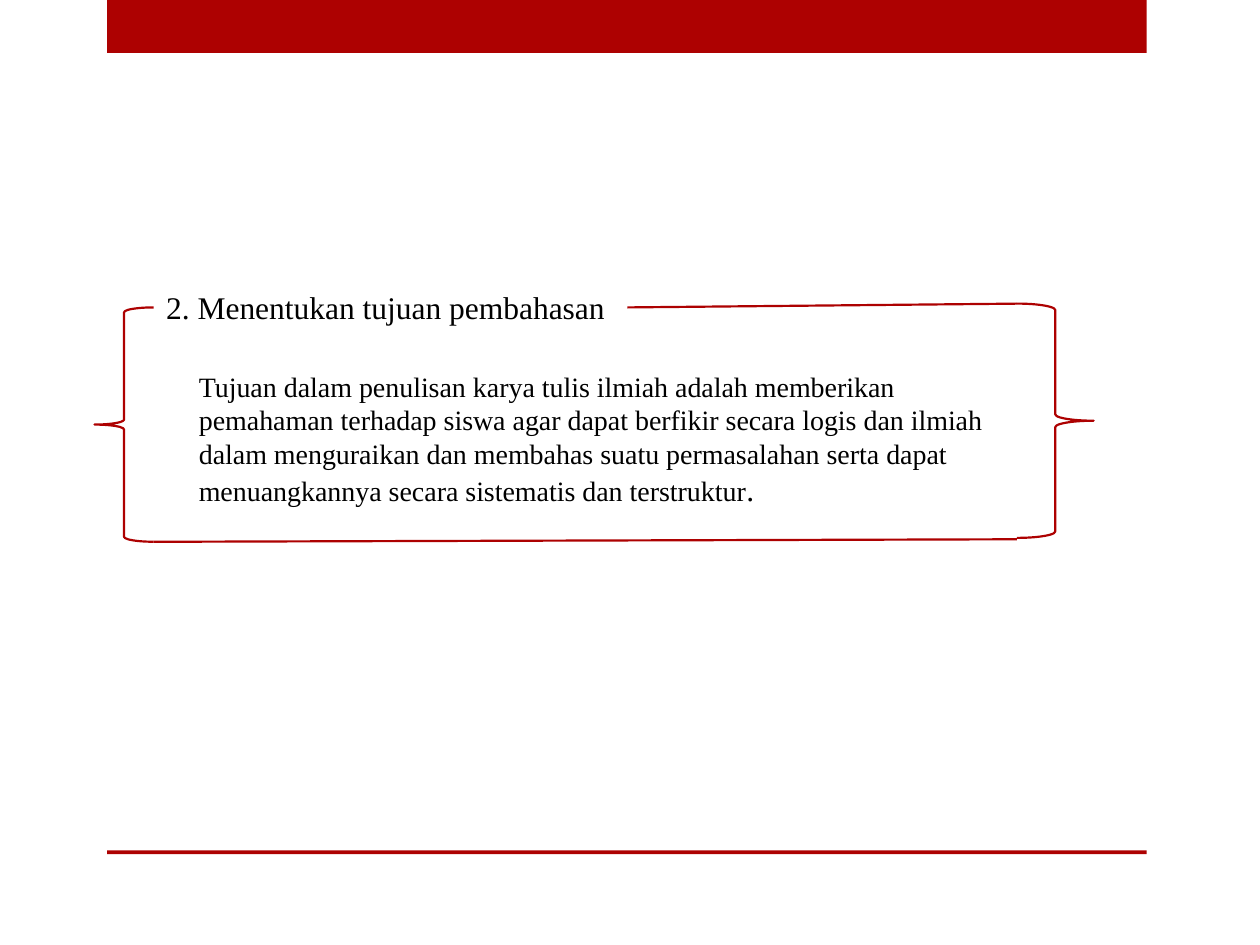
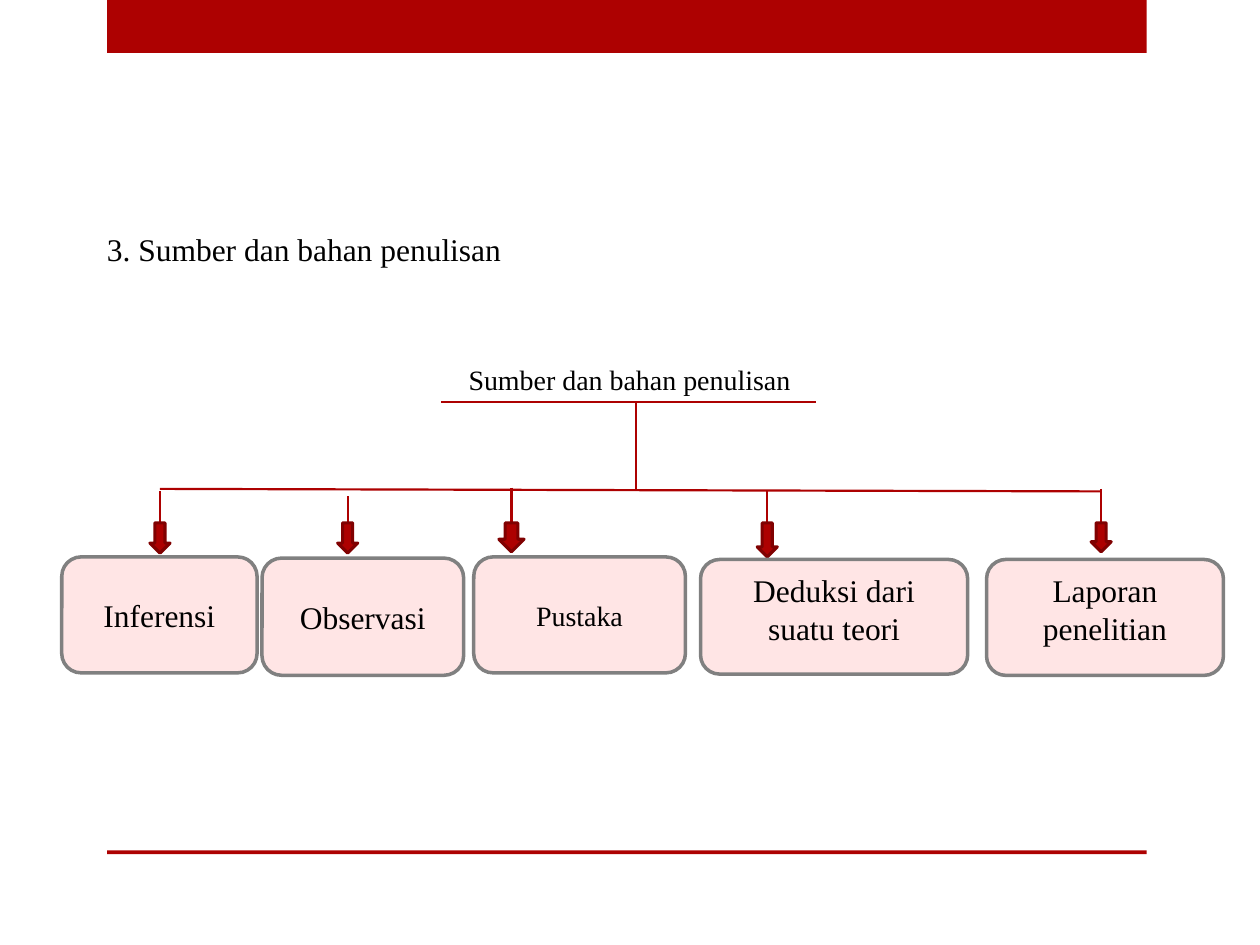
from lxml import etree
from pptx import Presentation
from pptx.dml.color import RGBColor
from pptx.enum.shapes import MSO_CONNECTOR, MSO_SHAPE
from pptx.enum.text import MSO_ANCHOR, PP_ALIGN
from pptx.oxml.ns import qn
from pptx.util import Inches, Pt

FONT = "Times New Roman"
COLORS = {
    "red": "AD0101",
    "dark_red": "800101",
    "pink": "FFE5E5",
    "gray": "808080",
    "text": "000000",
}
LINE_WIDTH = 1.25
ARROW_TOP = 4.15

# label, left, top, width, height, text size, vertical anchor
SOURCES = [
    ("Inferensi", 0.49, 4.42, 1.55, 0.92, 18, MSO_ANCHOR.MIDDLE),
    ("Observasi", 2.08, 4.43, 1.6, 0.93, 18, MSO_ANCHOR.MIDDLE),
    ("Pustaka", 3.76, 4.42, 1.68, 0.92, 16, MSO_ANCHOR.MIDDLE),
    ("Deduksi dari suatu teori", 5.56, 4.44, 2.12, 0.91, 18, MSO_ANCHOR.TOP),
    ("Laporan penelitian", 7.83, 4.44, 1.88, 0.92, 18, MSO_ANCHOR.TOP),
]
# centre x, top of the stem, arrow width, arrow height
BRANCHES = [
    (1.27, 3.9, 0.16, 0.24),
    (2.76, 3.94, 0.16, 0.24),
    (4.06, 3.87, 0.2, 0.23),
    (6.09, 3.9, 0.16, 0.27),
    (8.74, 3.88, 0.16, 0.23),
]


def color(name):
    return RGBColor.from_string(COLORS[name])


def add_shape(page, kind, left, top, width, height, fill=None, line=None, line_width=LINE_WIDTH):
    shape = page.shapes.add_shape(kind, Inches(left), Inches(top), Inches(width), Inches(height))
    shape.shadow.inherit = False
    if fill:
        shape.fill.solid()
        shape.fill.fore_color.rgb = color(fill)
    else:
        shape.fill.background()
    if line:
        shape.line.color.rgb = color(line)
        shape.line.width = Pt(line_width)
    else:
        shape.line.fill.background()
    return shape


def add_line(page, x1, y1, x2, y2):
    line = page.shapes.add_connector(
        MSO_CONNECTOR.STRAIGHT, Inches(x1), Inches(y1), Inches(x2), Inches(y2))
    line.line.color.rgb = color("red")
    line.line.width = Pt(LINE_WIDTH)
    etree.SubElement(line._element.spPr, qn("a:effectLst"))


def add_run(para, text, size):
    span = para.add_run()
    span.text = text
    span.font.name = FONT
    span.font.size = Pt(size)
    span.font.color.rgb = color("text")


def add_text(page, left, top, width, height, runs, wrap=True):
    """Add a one-paragraph text box; runs holds (text, size) pairs."""
    box = page.shapes.add_textbox(Inches(left), Inches(top), Inches(width), Inches(height))
    box.text_frame.word_wrap = wrap
    for text, size in runs:
        add_run(box.text_frame.paragraphs[0], text, size)


def add_source_box(page, label, left, top, width, height, size, anchor):
    box = add_shape(page, MSO_SHAPE.ROUNDED_RECTANGLE, left, top, width, height,
                    "pink", "gray", 2)
    frame = box.text_frame
    frame.word_wrap = True
    frame.vertical_anchor = anchor
    para = frame.paragraphs[0]
    para.alignment = PP_ALIGN.CENTER
    add_run(para, label, size)


def add_branch(page, center, stem_top, width, height):
    """Add a stem that ends in a block arrow."""
    add_line(page, center, stem_top, center, ARROW_TOP)
    add_shape(page, MSO_SHAPE.DOWN_ARROW, center - width / 2, ARROW_TOP, width, height,
              "red", "dark_red", 1.75)


def add_page(deck):
    """Add a blank slide with the red top band and bottom rule."""
    page = deck.slides.add_slide(deck.slide_layouts[6])
    for top, height in ((0, 0.42), (6.75, 0.03)):
        add_shape(page, MSO_SHAPE.RECTANGLE, 0.85, top, 8.25, height, "red")
    return page


def build_purpose_page(deck):
    page = add_page(deck)
    add_text(page, 1.48, 2.88, 6.67, 1.18, [
        ("Tujuan dalam penulisan karya tulis ilmiah adalah memberikan pemahaman "
         "terhadap siswa agar dapat berfikir secara logis dan ilmiah dalam "
         "menguraikan dan membahas suatu permasalahan serta dapat menuangkannya "
         "secara sistematis dan terstruktur", 16),
        (".", 18),
    ])
    add_text(page, 1.22, 2.24, 4.25, 0.4, [("2. Menentukan tujuan pembahasan", 18)])
    add_shape(page, MSO_SHAPE.LEFT_BRACE, 0.75, 2.44, 0.47, 1.86, line="red")
    add_shape(page, MSO_SHAPE.RIGHT_BRACE, 8.07, 2.41, 0.61, 1.86, line="red")
    add_line(page, 1.22, 4.3, 8.07, 4.28)
    add_line(page, 8.07, 2.41, 4.98, 2.44)


def build_sources_page(deck):
    page = add_page(deck)
    add_text(page, 0.75, 1.78, 5.27, 0.4, [("3. Sumber dan bahan penulisan", 18)])
    add_text(page, 3.62, 2.83, 3.09, 0.36, [("Sumber dan bahan penulisan", 16)], wrap=False)
    add_line(page, BRANCHES[0][0], 3.88, BRANCHES[-1][0], 3.9)
    add_line(page, 3.5, 3.19, 6.48, 3.19)
    add_line(page, 5.05, 3.2, 5.05, 3.88)
    for branch in BRANCHES:
        add_branch(page, *branch)
    for source in SOURCES:
        add_source_box(page, *source)


def main():
    deck = Presentation()
    deck.slide_width = Inches(10)
    deck.slide_height = Inches(7.5)
    build_purpose_page(deck)
    build_sources_page(deck)
    deck.save("out.pptx")


if __name__ == "__main__":
    main()
